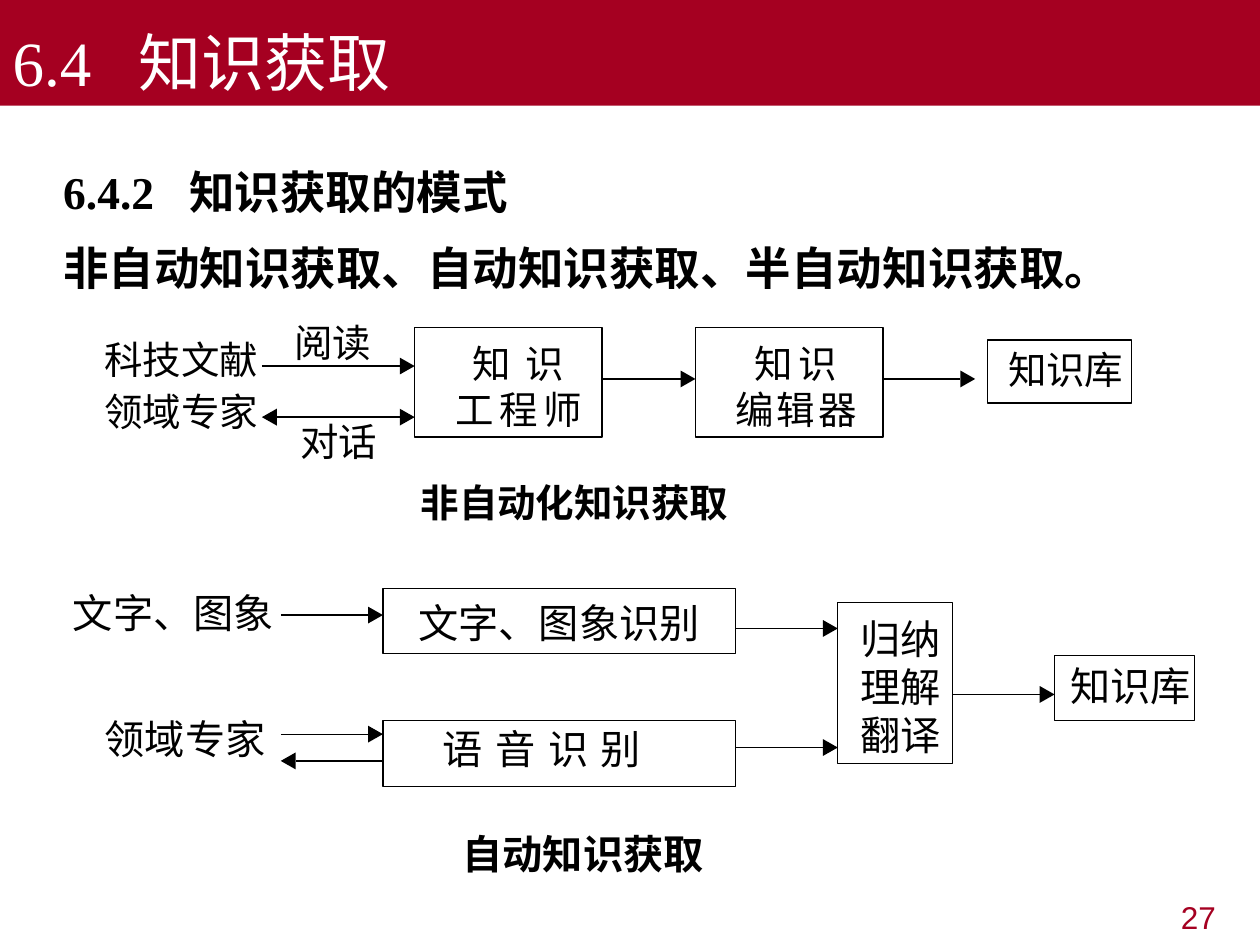
from dataclasses import dataclass

import lxml.etree
import pptx
import pptx.dml.color
import pptx.enum.shapes
import pptx.enum.text
import pptx.oxml.ns
import pptx.util

Cm = pptx.util.Cm
Pt = pptx.util.Pt
qn = pptx.oxml.ns.qn
ALIGN = pptx.enum.text.PP_ALIGN
ANCHOR = pptx.enum.text.MSO_ANCHOR
AUTO_SIZE = pptx.enum.text.MSO_AUTO_SIZE


@dataclass(frozen=True)
class Theme:
    red: str = "A50021"
    black: str = "000000"
    white: str = "FFFFFF"
    serif: str = "Times New Roman"
    sans: str = "Arial"
    chinese: str = "Noto Sans CJK SC"
    title_size: float = 36
    body_size: float = 26
    manual_size: float = 22
    automatic_size: float = 23
    number_size: float = 18
    manual_line: float = 0.88
    automatic_line: float = 0.75
    line_pitch: float = 1.19
    label_slack: float = 3
    head_length: float = 0.3
    head_half: float = 0.17


class DiagramSlide:
    def __init__(self, presentation, theme):
        self.theme = theme
        self.slide = presentation.slides.add_slide(presentation.slide_layouts[1])
        self.shapes = self.slide.shapes
        self.size = theme.manual_size
        self.line = theme.manual_line

    def use(self, size, line):
        self.size, self.line = size, line

    def color(self, value):
        return pptx.dml.color.RGBColor.from_string(value)

    def place(self, shape, left, top, width, height):
        shape.left, shape.top = Cm(left), Cm(top)
        shape.width, shape.height = Cm(width), Cm(height)

    def paint(self, shape, value):
        shape.fill.solid()
        shape.fill.fore_color.rgb = self.color(value)

    def margins(self, frame, left=0, top=0, right=0, bottom=0):
        frame.margin_left, frame.margin_top = Cm(left), Cm(top)
        frame.margin_right, frame.margin_bottom = Cm(right), Cm(bottom)

    def format(self, paragraph, size, face, color, bold=False, align=ALIGN.LEFT):
        paragraph.alignment = align
        paragraph.space_before = Pt(0)
        font = paragraph.font
        font.size, font.name, font.bold = Pt(size), face, bold
        font.color.rgb = self.color(color)
        defaults = paragraph._p.pPr.find(qn("a:defRPr"))
        lxml.etree.SubElement(defaults, qn("a:ea"), typeface=self.theme.chinese)

    def add_tab(self, paragraph):
        tabs = lxml.etree.SubElement(paragraph._p.get_or_add_pPr(), qn("a:tabLst"))
        lxml.etree.SubElement(tabs, qn("a:tab"), pos=str(Cm(2.54)), algn="l")

    def title(self, text):
        heading = self.shapes.title
        self.place(heading, 0, 0, 25.4, 2.13)
        self.paint(heading, self.theme.red)
        frame = heading.text_frame
        frame.text = text
        frame.auto_size = AUTO_SIZE.NONE
        frame.vertical_anchor = ANCHOR.BOTTOM
        self.add_tab(frame.paragraphs[0])
        self.format(frame.paragraphs[0], self.theme.title_size, self.theme.serif, self.theme.white)

    def body(self, lines):
        outline = self.slide.placeholders[1]
        self.place(outline, 1.02, 2.74, 23.11, 3.35)
        frame = outline.text_frame
        frame.text = "\n".join(lines)
        frame.auto_size = AUTO_SIZE.NONE
        for paragraph in frame.paragraphs:
            properties = paragraph._p.get_or_add_pPr()
            properties.set("marL", "0")
            properties.set("indent", "0")
            lxml.etree.SubElement(properties, qn("a:buNone"))
            self.add_tab(paragraph)
            paragraph.line_spacing = 1.4
            self.format(paragraph, self.theme.body_size, self.theme.serif, self.theme.black, True)

    def page_number(self, text):
        number = self.shapes.add_textbox(Cm(19.25), Cm(17.98), Cm(5.51), Cm(0.99))
        number.text_frame.word_wrap = True
        number.text_frame.text = text
        self.format(number.text_frame.paragraphs[0], self.theme.number_size,
                    self.theme.sans, self.theme.red, align=ALIGN.RIGHT)

    def label(self, text, left, top, bold=False):
        width = Pt(len(text) * self.size + self.theme.label_slack)
        height = Pt(self.size * 1.2)
        frame = self.shapes.add_textbox(Cm(left), Cm(top), width, height).text_frame
        self.margins(frame)
        frame.word_wrap = True
        frame.text = text
        self.format(frame.paragraphs[0], self.size, self.theme.chinese, self.theme.black, bold)

    def box(self, lines, area, insets):
        node = self.shapes.add_shape(pptx.enum.shapes.MSO_SHAPE.RECTANGLE, *map(Cm, area))
        node.shadow.inherit = False
        node.fill.background()
        node.line.color.rgb = self.color(self.theme.black)
        node.line.width = Pt(self.line)
        frame = node.text_frame
        frame.word_wrap = True
        frame.vertical_anchor = ANCHOR.TOP
        self.margins(frame, *insets)
        frame.text = "\n".join(text for text, _ in lines)
        for paragraph, (_, tracking) in zip(frame.paragraphs, lines):
            paragraph.line_spacing = Pt(self.size * self.theme.line_pitch)
            self.format(paragraph, self.size, self.theme.chinese, self.theme.black,
                        align=ALIGN.CENTER)
            if tracking:
                paragraph.runs[0]._r.get_or_add_rPr().set("spc", str(round(tracking * 100)))

    def head(self, tip, y, direction):
        base = tip - direction * self.theme.head_length
        half = self.theme.head_half
        outline = self.shapes.build_freeform(Cm(base), Cm(y - half))
        outline.add_line_segments([(Cm(tip), Cm(y)), (Cm(base), Cm(y + half))])
        triangle = outline.convert_to_shape()
        triangle.shadow.inherit = False
        self.paint(triangle, self.theme.black)
        triangle.line.fill.background()
        return base

    def arrow(self, start, end, y, both=False):
        direction = 1 if end > start else -1
        line_end = self.head(end, y, direction)
        line_start = self.head(start, y, -direction) if both else start
        shaft = self.shapes.add_connector(pptx.enum.shapes.MSO_CONNECTOR.STRAIGHT,
                                          Cm(line_start), Cm(y), Cm(line_end), Cm(y))
        shaft.line.color.rgb = self.color(self.theme.black)
        shaft.line.width = Pt(self.line)
        lxml.etree.SubElement(shaft._element.spPr, qn("a:effectLst"))


def draw_manual(page):
    page.use(page.theme.manual_size, page.theme.manual_line)
    page.label("科技文献", 2.11, 6.78)
    page.label("领域专家", 2.11, 7.82)
    page.label("阅读", 5.94, 6.43)
    page.label("对话", 6.05, 8.43)
    page.label("非自动化知识获取", 8.48, 9.65, bold=True)
    page.box([("知识", 8.3), ("工程师", 3.2)], (8.36, 6.6, 3.78, 2.21), (0.4, 0.26))
    page.box([("知识", 3.2), ("编辑器", 1.6)], (14.02, 6.6, 3.78, 2.21), (0.28, 0.26))
    page.box([("知识库", 0)], (19.91, 6.86, 2.9, 1.27), (0.25, 0.13))
    page.arrow(5.28, 8.36, 7.38)
    page.arrow(5.28, 8.36, 8.41, both=True)
    page.arrow(12.14, 14.02, 7.64)
    page.arrow(17.8, 19.66, 7.64)


def draw_automatic(page):
    page.use(page.theme.automatic_size, page.theme.automatic_line)
    page.label("文字、图象", 1.47, 11.86)
    page.label("领域专家", 2.11, 14.4)
    page.label("自动知识获取", 9.32, 16.71, bold=True)
    page.box([("文字、图象识别", 0)], (7.72, 11.86, 7.11, 1.32), (0, 0.21))
    page.box([("语音识别", 7.2)], (7.72, 14.53, 7.11, 1.32), (0, 0.08, 0.7))
    page.box([(text, 0) for text in ("归纳", "理解", "翻译")],
             (16.89, 12.14, 2.31, 3.25), (0.23, 0.26))
    page.box([("知识库", 0)], (21.26, 13.21, 2.82, 1.32), (0.25, 0.13))
    page.arrow(5.66, 7.72, 12.4)
    page.arrow(5.66, 7.72, 14.8)
    page.arrow(7.72, 5.66, 15.34)
    page.arrow(14.83, 16.89, 12.67)
    page.arrow(14.83, 16.89, 15.07)
    page.arrow(19.2, 21.26, 14)


def main():
    presentation = pptx.Presentation()
    presentation.slide_width, presentation.slide_height = Cm(25.4), Cm(19.05)
    page = DiagramSlide(presentation, Theme())
    page.title("6.4\t知识获取")
    page.body(["6.4.2\t知识获取的模式", "非自动知识获取、自动知识获取、半自动知识获取。"])
    draw_manual(page)
    draw_automatic(page)
    page.page_number("27")
    presentation.save("out.pptx")


if __name__ == "__main__":
    main()
